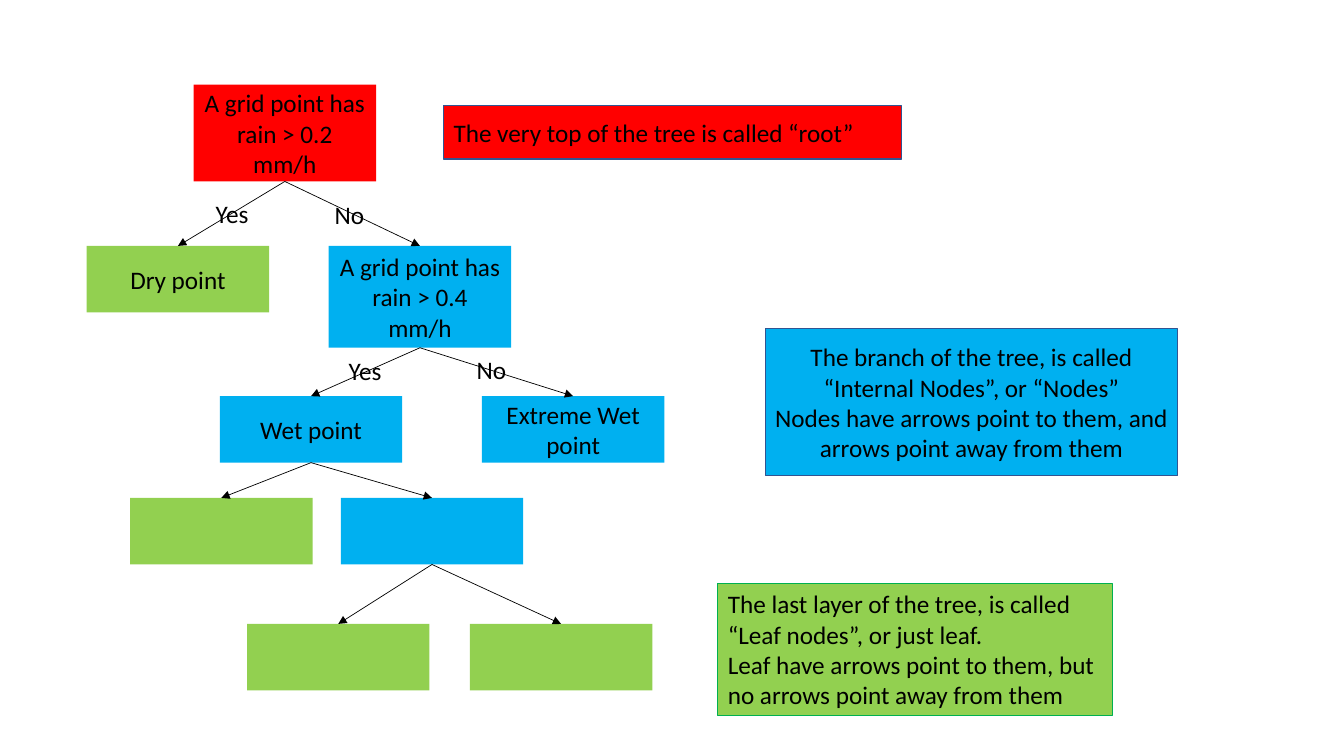
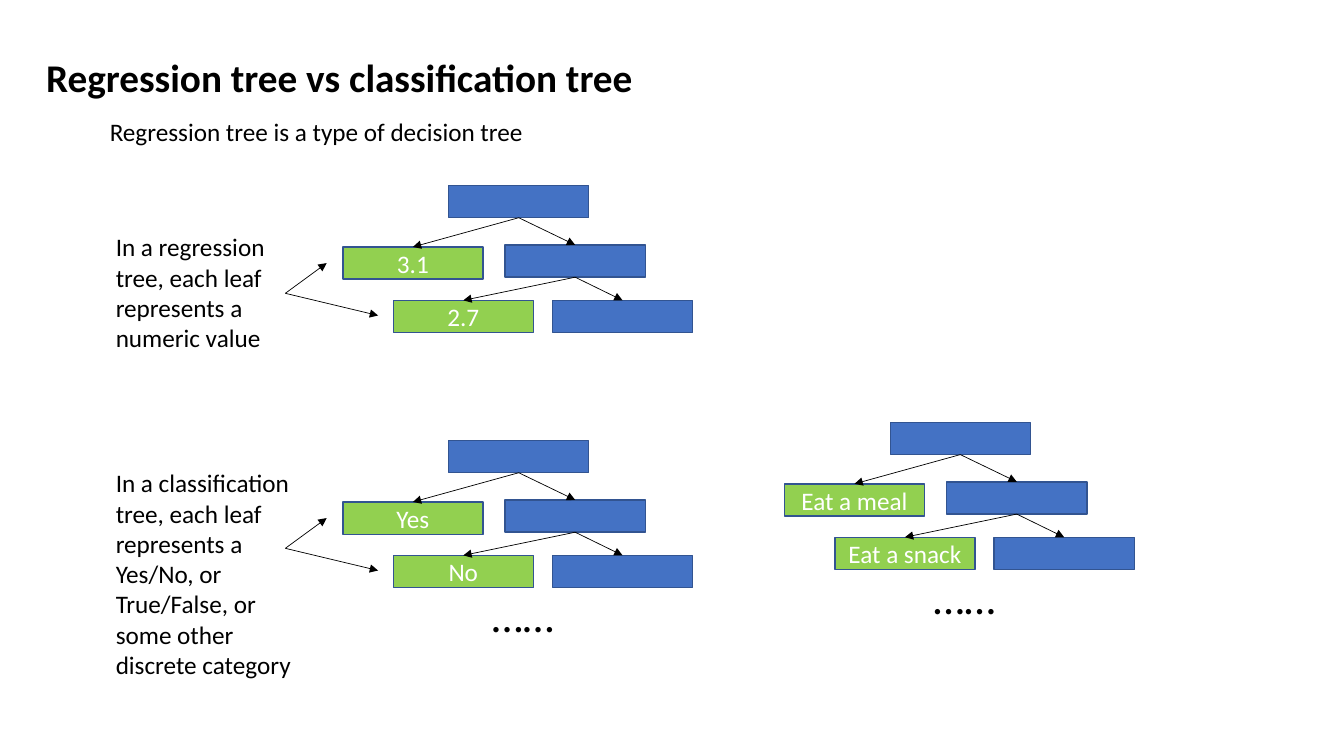
from lxml import etree
from pptx import Presentation
from pptx import util as u
from pptx.dml import color
from pptx.enum import shapes, text
from pptx.oxml import ns

EMU_PER_PX = 9144
FONT = "Calibri"
BLACK, WHITE = "000000", "FFFFFF"
RED, GREEN, SKY, BLUE = "FF0000", "92D050", "00B0F0", "4472C4"
OUTLINE, LEAF_OUTLINE = "325491", "00B050"
LEFT, CENTER = text.PP_ALIGN.LEFT, text.PP_ALIGN.CENTER
TOP, MIDDLE = text.MSO_ANCHOR.TOP, text.MSO_ANCHOR.MIDDLE
BOTTOM_SIDE, TOP_SIDE = 2, 0


def px(*lengths):
    return [u.Emu(length * EMU_PER_PX) for length in lengths]


def rgb(value):
    return color.RGBColor.from_string(value)


def write(frame, words, size, ink, align, bold=False):
    frame.text = words
    for paragraph in frame.paragraphs:
        paragraph.alignment = align
        paragraph.font.name = FONT
        paragraph.font.size = u.Pt(size)
        paragraph.font.bold = bold
        paragraph.font.color.rgb = rgb(ink)


def add_box(slide, box, fill, words="", ink=BLACK, outline=None, weight=1,
            align=CENTER, anchor=MIDDLE):
    shape = slide.shapes.add_shape(shapes.MSO_SHAPE.RECTANGLE, *px(*box))
    shape.shadow.inherit = False
    shape.fill.solid()
    shape.fill.fore_color.rgb = rgb(fill)
    if outline:
        shape.line.color.rgb = rgb(outline)
        shape.line.width = u.Pt(weight)
    else:
        shape.line.fill.background()
    if words:
        shape.text_frame.word_wrap = True
        shape.text_frame.vertical_anchor = anchor
        write(shape.text_frame, words, 18, ink, align)
    return shape


def add_label(slide, box, words, size=18, bold=False, wrap=False):
    frame = slide.shapes.add_textbox(*px(*box)).text_frame
    frame.word_wrap = wrap
    frame.auto_size = text.MSO_AUTO_SIZE.SHAPE_TO_FIT_TEXT
    write(frame, words, size, BLACK, LEFT, bold)


def add_arrow(slide, start=(0, 0), end=(0, 0)):
    arrow = slide.shapes.add_connector(
        shapes.MSO_CONNECTOR.STRAIGHT, *px(*start, *end))
    arrow.line.color.rgb = rgb(BLACK)
    arrow.line.width = u.Pt(0.5)
    head = etree.SubElement(arrow.line._get_or_add_ln(), ns.qn("a:tailEnd"))
    head.set("type", "triangle")
    etree.SubElement(arrow._element.spPr, ns.qn("a:effectLst"))
    return arrow


def link(slide, parent, *children):
    """Draw arrows from the bottom of a parent to the top of its children."""
    for child in children:
        arrow = add_arrow(slide)
        arrow.begin_connect(parent, BOTTOM_SIDE)
        arrow.end_connect(child, TOP_SIDE)


def add_rain_tree(slide, left, top):
    def node(x, y, fill, words="", height=66):
        return add_box(slide, (left + x, top + y, 181, height), fill, words)

    root = node(106, 0, RED, "A grid point has rain > 0.2 mm/h", 96)
    dry = node(0, 160, GREEN, "Dry point")
    question = node(240, 160, SKY, "A grid point has rain > 0.4 mm/h", 101)
    wet = node(132, 309, SKY, "Wet point")
    extreme = node(392, 309, SKY, "Extreme Wet point")
    wet_leaf, wet_node = node(43, 410, GREEN), node(252, 410, SKY)
    last_leaves = [node(x, 535, GREEN) for x in (159, 380)]

    link(slide, root, dry, question)
    link(slide, question, wet, extreme)
    link(slide, wet, wet_leaf, wet_node)
    link(slide, wet_node, *last_leaves)

    for words, x, y, width in (("Yes", 118, 108, 53), ("No", 236, 109, 50),
                               ("Yes", 250, 264, 53), ("No", 377, 263, 50)):
        add_label(slide, (left + x, top + y, width, 40), words)


def add_small_tree(slide, left, top, upper_leaf, lower_leaf, dots=True):
    def node(x, y, words=""):
        return add_box(slide, (left + x, top + y, 139, 32),
                       GREEN if words else BLUE, words, WHITE, OUTLINE)

    root, branch, end = node(105, 0), node(161, 59), node(208, 114)
    link(slide, root, node(0, 61, upper_leaf), branch)
    link(slide, branch, node(50, 114, lower_leaf), end)
    if dots:
        add_label(slide, (left + 138, top + 141, 82, 64), "……", 32)


def add_leaf_pointers(slide, left, top):
    for x, y in ((41, -30), (92, 22)):
        add_arrow(slide, (left, top), (left + x, top + y))


def build_tree_parts(slide):
    add_rain_tree(slide, 86, 84)
    add_box(slide, (440, 105, 454, 53), RED,
            "The very top of the tree is called “root”",
            outline=OUTLINE, align=LEFT)
    add_box(slide, (759, 326, 409, 146), SKY,
            "The branch of the tree, is called “Internal Nodes”, or “Nodes”\n"
            "Nodes have arrows point to them, and arrows point away from them",
            outline=OUTLINE)
    add_box(slide, (712, 579, 391, 131), GREEN,
            "The last layer of the tree, is called “Leaf nodes”, or just leaf.\n"
            "Leaf have arrows point to them, but no arrows point away from them",
            outline=LEAF_OUTLINE, weight=0.75, align=LEFT, anchor=TOP)


def build_tree_types(slide):
    add_label(slide, (36, 48, 606, 57),
              "Regression tree vs classification tree", 28, bold=True)
    add_label(slide, (99, 110, 435, 40),
              "Regression tree is a type of decision tree")

    add_small_tree(slide, 340, 184, "3.1", "2.7", dots=False)
    add_label(slide, (105, 225, 213, 131),
              "In a regression tree, each leaf represents a numeric value",
              wrap=True)
    add_leaf_pointers(slide, 283, 291)

    add_small_tree(slide, 340, 437, "Yes", "No")
    add_label(slide, (105, 459, 213, 222),
              "In a classification tree, each leaf represents a Yes/No, "
              "or True/False, or some other discrete category", wrap=True)
    add_leaf_pointers(slide, 283, 544)

    add_small_tree(slide, 778, 419, "Eat a meal", "Eat a snack")


def main():
    presentation = Presentation()
    presentation.slide_width, presentation.slide_height = px(1333, 750)
    blank = presentation.slide_layouts[6]
    for build in (build_tree_parts, build_tree_types):
        build(presentation.slides.add_slide(blank))
    presentation.save("out.pptx")


if __name__ == "__main__":
    main()
